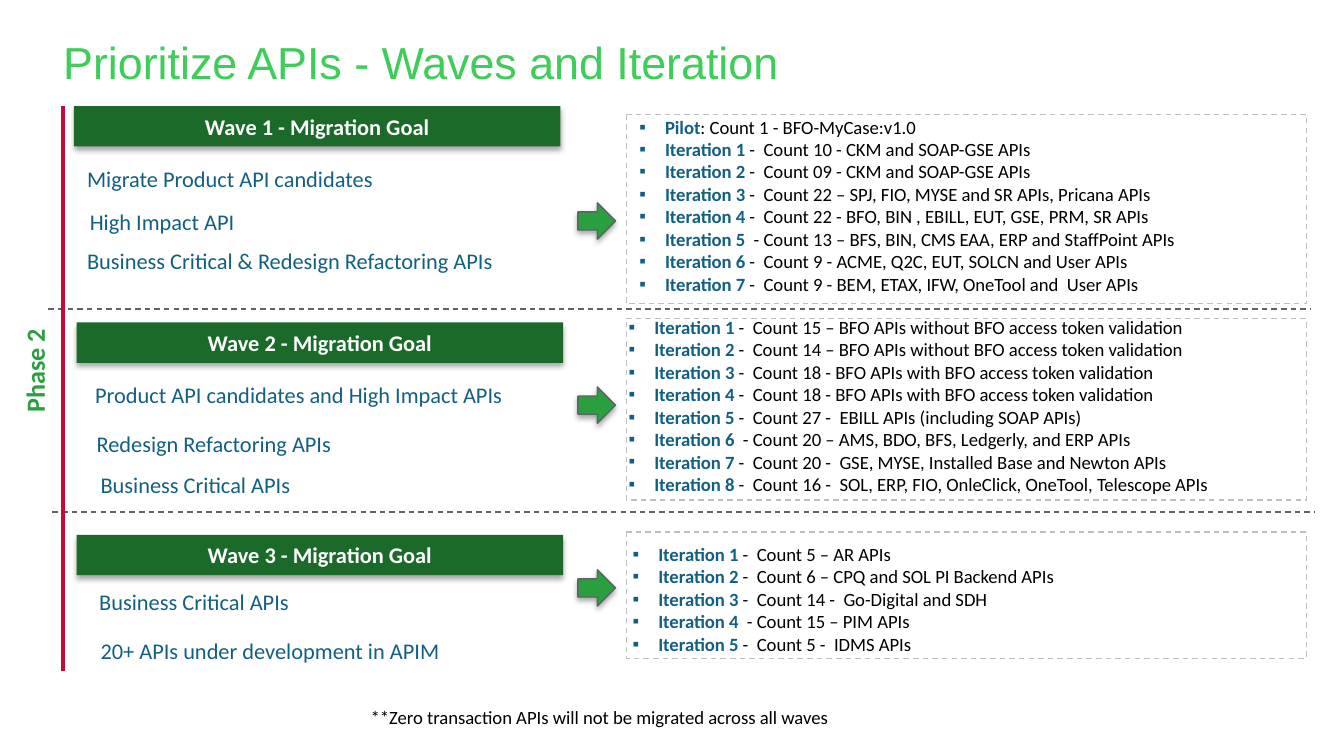
from pptx import Presentation
from pptx.dml.color import RGBColor
from pptx.enum.dml import MSO_LINE
from pptx.enum.shapes import MSO_CONNECTOR, MSO_SHAPE
from pptx.enum.text import MSO_ANCHOR, MSO_AUTO_SIZE, PP_ALIGN
from pptx.oxml.ns import qn
from pptx.oxml.xmlchemy import OxmlElement
from pptx.util import Inches, Pt

LEFT, CENTER = PP_ALIGN.LEFT, PP_ALIGN.CENTER
MIDDLE = MSO_ANCHOR.MIDDLE
GROW = MSO_AUTO_SIZE.SHAPE_TO_FIT_TEXT
DASH = MSO_LINE.DASH
STRAIGHT = MSO_CONNECTOR.STRAIGHT
RECT, ROUND, ARROW = MSO_SHAPE.RECTANGLE, MSO_SHAPE.ROUNDED_RECTANGLE, MSO_SHAPE.RIGHT_ARROW

WHITE = RGBColor(0xFF, 0xFF, 0xFF)
BLACK = RGBColor(0, 0, 0)
LIME = RGBColor(0x3D, 0xCD, 0x58)
GREEN = RGBColor(0x29, 0x9F, 0x3F)
DARK = RGBColor(0x1B, 0x6A, 0x2A)
BLUE = RGBColor(0x11, 0x60, 0x83)
GRAY = RGBColor(0x60, 0x62, 0x67)
SILVER = RGBColor(0xBF, 0xBF, 0xBF)
RED = RGBColor(0xC6, 0x09, 0x3B)

WIDE = 3.44  # goal boxes of this width wrap, narrower ones do not

WAVES = [
    {
        "bar": (0.55, 0.79), "arrow": 1.51,
        "frame": (0.85, 1.41), "list": (4.66, 0.81, 1.45),
        "goals": [
            ("Migrate Product API candidates", 0.55, 1.18, WIDE),
            ("High Impact API", 0.57, 1.5, 1.29),
            ("Business Critical & Redesign Refactoring APIs", 0.55, 1.79, 3.33),
        ],
        "pilot": ": Count 1 - BFO-MyCase:v1.0",
        "steps": [
            "-  Count 10 - CKM and SOAP-GSE APIs",
            "-  Count 09 - CKM and SOAP-GSE APIs",
            "-  Count 22 – SPJ, FIO, MYSE and SR APIs, Pricana APIs",
            "-  Count 22 - BFO, BIN , EBILL, EUT, GSE, PRM, SR APIs",
            " - Count 13 – BFS, BIN, CMS EAA, ERP and StaffPoint APIs",
            "-  Count 9 - ACME, Q2C, EUT, SOLCN and User APIs",
            "-  Count 9 - BEM, ETAX, IFW, OneTool and  User APIs",
        ],
    },
    {
        "bar": (0.57, 2.4), "arrow": 2.88,
        "frame": (2.37, 1.35), "list": (4.58, 2.3, 1.45),
        "goals": [
            ("Product API candidates and High Impact APIs", 0.61, 2.79, WIDE),
            ("Redesign Refactoring APIs", 0.62, 3.15, 2.01),
            ("Business Critical APIs", 0.65, 3.46, 1.63),
        ],
        "steps": [
            "-  Count 15 – BFO APIs without BFO access token validation",
            "-  Count 14 – BFO APIs without BFO access token validation",
            "-  Count 18 - BFO APIs with BFO access token validation",
            "-  Count 18 - BFO APIs with BFO access token validation",
            "-  Count 27 -  EBILL APIs (including SOAP APIs)",
            " - Count 20 – AMS, BDO, BFS, Ledgerly, and ERP APIs",
            "-  Count 20 -  GSE, MYSE, Installed Base and Newton APIs",
            "-  Count 16 -  SOL, ERP, FIO, OnleClick, OneTool, Telescope APIs",
        ],
    },
    {
        "bar": (0.57, 3.98), "arrow": 4.24,
        "frame": (3.96, 0.94), "list": (4.61, 3.99, 0.94),
        "goals": [
            ("Business Critical APIs", 0.64, 4.33, WIDE),
            ("20+ APIs under development in APIM", 0.65, 4.69, WIDE),
        ],
        "steps": [
            "-  Count 5 – AR APIs",
            "-  Count 6 – CPQ and SOL PI Backend APIs",
            "-  Count 14 -  Go-Digital and SDH",
            " - Count 15 – PIM APIs",
            "-  Count 5 -  IDMS APIs",
        ],
    },
]


def style(run, size, color, bold=False, name="Calibri"):
    font = run.font
    font.name, font.size, font.bold = name, Pt(size), bold
    font.color.rgb = color


def fill_text(frame, text, size, color, bold=False, align=LEFT, name="Calibri"):
    frame.text = text
    para = frame.paragraphs[0]
    para.alignment = align
    style(para.runs[0], size, color, bold, name)


def add_node(parent, tag, **attrs):
    node = OxmlElement(tag)
    for key, value in attrs.items():
        node.set(key, str(value))
    parent.append(node)
    return node


def add_text(slide, box, text, size, color, bold=False, align=LEFT, wrap=True):
    shape = slide.shapes.add_textbox(*map(Inches, box))
    frame = shape.text_frame
    frame.word_wrap = wrap
    frame.auto_size = GROW
    fill_text(frame, text, size, color, bold, align)
    return shape


def add_block(slide, kind, box, fill, line=None):
    shape = slide.shapes.add_shape(kind, *map(Inches, box))
    shape.shadow.inherit = False
    shape.fill.solid()
    shape.fill.fore_color.rgb = fill
    if line is None:
        shape.line.fill.background()
    else:
        shape.line.color.rgb = line
        shape.line.width = Pt(0.75)
    return shape


def add_shadow(shape):
    effects = shape._element.spPr.find(qn("a:effectLst"))
    outer = add_node(effects, "a:outerShdw", blurRad=Pt(3.1), dist=Pt(1.8),
                     dir=90 * 60000, algn="t", rotWithShape=0)
    color = add_node(outer, "a:srgbClr", val=BLACK)
    add_node(color, "a:alpha", val=35000)


def add_frame(slide, top, height):
    """Dashed, slightly transparent frame behind an iteration list."""
    shape = add_block(slide, ROUND, (4.66, top, 5.06, height), WHITE, SILVER)
    shape.adjustments[0] = 0
    shape.line.dash_style = DASH
    color = shape._element.spPr.find(qn("a:solidFill")).find(qn("a:srgbClr"))
    add_node(color, "a:alpha", val=75000)


def add_rule(slide, start, end, color, width, dash=None):
    rule = slide.shapes.add_connector(STRAIGHT, *map(Inches, start + end))
    rule.line.color.rgb = color
    rule.line.width = Pt(width)
    if dash is not None:
        rule.line.dash_style = dash
    add_node(rule._element.spPr, "a:effectLst")


def add_list(slide, left, top, height, rows):
    shape = slide.shapes.add_textbox(*map(Inches, (left, top, 5.17, height)))
    frame = shape.text_frame
    frame.word_wrap = True
    frame.auto_size = GROW
    for i, (label, detail) in enumerate(rows):
        para = frame.add_paragraph() if i else frame.paragraphs[0]
        props = para._p.get_or_add_pPr()
        props.set("marL", str(Inches(0.19)))
        props.set("indent", str(-Inches(0.19)))
        add_node(props, "a:buFont", typeface="Arial")
        add_node(props, "a:buChar", char="▪")
        for text, color, bold in ((label, BLUE, True), (detail, BLACK, False)):
            run = para.add_run()
            run.text = text
            style(run, 10, color, bold)


def add_wave(slide, number, wave):
    add_frame(slide, *wave["frame"])
    rows = [(f"Iteration {n} ", step) for n, step in enumerate(wave["steps"], 1)]
    if "pilot" in wave:
        rows.insert(0, ("Pilot", wave["pilot"]))
    add_list(slide, *wave["list"], rows)
    add_shadow(add_block(slide, ARROW, (4.3, wave["arrow"], 0.28, 0.27), GREEN, GRAY))
    for text, left, top, width in wave["goals"]:
        add_text(slide, (left, top, width, 0.3), text, 12, BLUE, wrap=width == WIDE)
    bar = add_block(slide, RECT, (*wave["bar"], 3.62, 0.3), DARK)
    add_shadow(bar)
    bar.text_frame.vertical_anchor = MIDDLE
    fill_text(bar.text_frame, f"Wave {number} - Migration Goal", 12, WHITE, True, CENTER)


def set_title(slide, text):
    title = slide.shapes.title
    title.left, title.top, title.width, title.height = map(Inches, (0.47, 0.26, 7.3, 0.4))
    frame = title.text_frame
    frame.margin_left = frame.margin_right = frame.margin_top = frame.margin_bottom = 0
    frame.vertical_anchor = MIDDLE
    fill_text(frame, text, 24, LIME, name="Arial")


def main():
    deck = Presentation()
    deck.slide_width, deck.slide_height = Inches(10), Inches(10 * 9 / 16)
    slide = deck.slides.add_slide(deck.slide_layouts[5])
    set_title(slide, "Prioritize APIs - Waves and Iteration")
    for number, wave in enumerate(WAVES, 1):
        add_wave(slide, number, wave)
    for left, top in ((0.36, 2.3), (0.39, 3.81)):
        add_rule(slide, (left, top), (left + 9.39, top), GRAY, 0.75, DASH)
    add_rule(slide, (0.47, 0.79), (0.47, 4.99), RED, 2.25)
    add_text(slide, (2.66, 5.2, 3.83, 0.27),
             "**Zero transaction APIs will not be migrated across all waves", 10, BLACK)
    phase = add_text(slide, (-0.31, 2.59, 1.14, 0.34), "Phase 2", 14, GREEN, True, CENTER)
    phase.rotation = 270
    deck.save("out.pptx")


if __name__ == "__main__":
    main()
